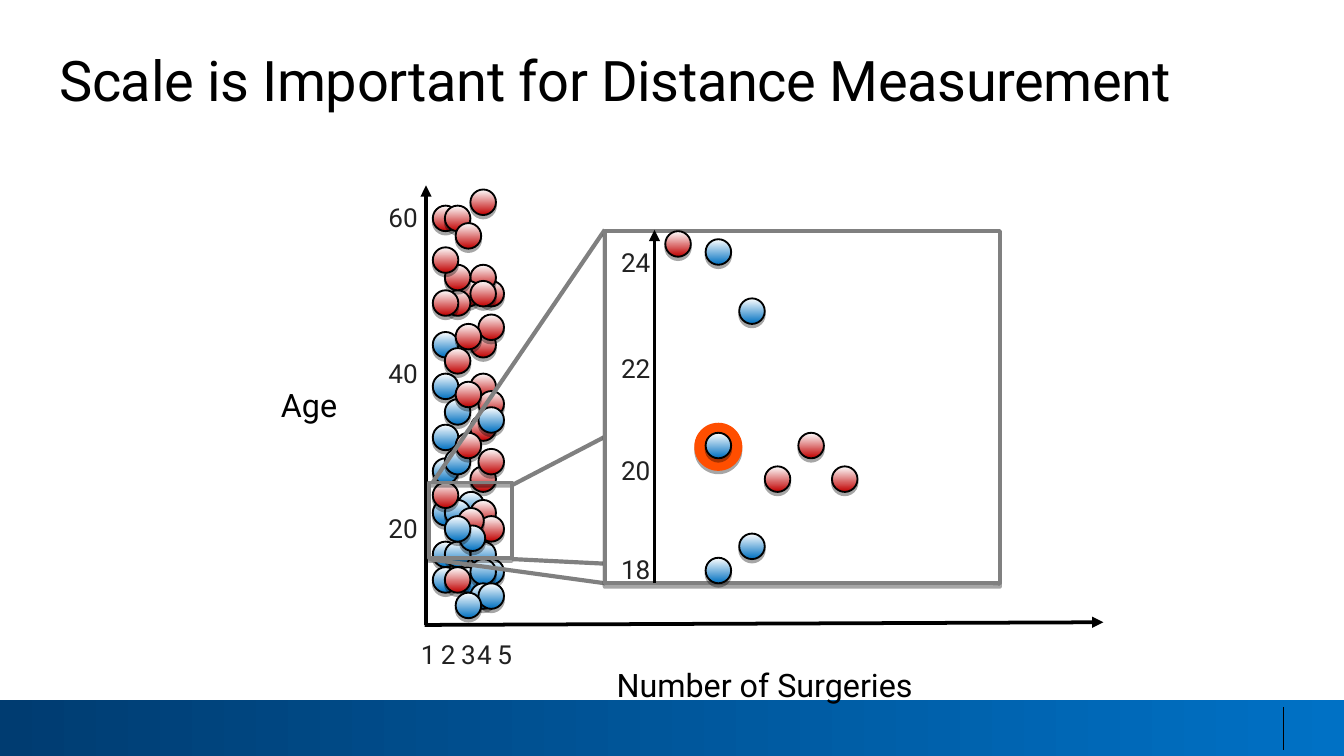
from typing import NamedTuple

from lxml.etree import SubElement
from pptx import Presentation
from pptx.dml.color import RGBColor
from pptx.enum.shapes import MSO_CONNECTOR, MSO_SHAPE
from pptx.enum.text import MSO_ANCHOR, MSO_AUTO_SIZE, PP_ALIGN
from pptx.oxml.ns import qn
from pptx.util import Inches, Pt

BLACK = RGBColor(0x00, 0x00, 0x00)
WHITE = RGBColor(0xFF, 0xFF, 0xFF)
DOT_TOP = RGBColor(0xFE, 0xFF, 0xFF)
RED = RGBColor(0xC0, 0x00, 0x00)
BLUE = RGBColor(0x00, 0x70, 0xC0)
ORANGE = RGBColor(0xFF, 0x4E, 0x00)
GRAY = RGBColor(0x80, 0x80, 0x80)
TICK_TEXT = RGBColor(0x21, 0x21, 0x21)
FOOTER_LIGHT = RGBColor(0x00, 0x71, 0xC5)
FOOTER_DARK = RGBColor(0x00, 0x3C, 0x71)

SLIDE_WIDTH = 10
SLIDE_HEIGHT = SLIDE_WIDTH * 9 / 16
FONT = "Roboto"
DOT_SIZE = 0.19
TICK_WIDTH = 0.25


class DotColumn(NamedTuple):
    color: RGBColor
    left: float
    tops: tuple[float, ...]


class Label(NamedTuple):
    text: str
    left: float
    top: float
    width: float
    height: float


class Segment(NamedTuple):
    start: tuple[float, float]
    end: tuple[float, float]


# Columns are listed from back to front, since the dots overlap.
PATIENTS = [
    DotColumn(RED, 3.56, (2.09,)),
    DotColumn(BLUE, 3.22, (2.47,)),
    DotColumn(RED, 3.22, (1.53,)),
    DotColumn(RED, 3.31, (1.53,)),
    DotColumn(RED, 3.39, (1.66,)),
    DotColumn(RED, 3.5, (1.97,)),
    DotColumn(BLUE, 3.31, (2.97,)),
    DotColumn(BLUE, 3.41, (3.66,)),
    DotColumn(BLUE, 3.5, (4.03,)),
    DotColumn(BLUE, 3.56, (4.16,)),
    DotColumn(BLUE, 3.22, (2.78, 3.16, 3.41, 3.72, 4.03, 4.22)),
    DotColumn(BLUE, 3.31, (4.03, 3.34, 3.72)),
    DotColumn(BLUE, 3.39, (4.22,)),
    DotColumn(BLUE, 3.5, (4.16, 4.34)),
    DotColumn(BLUE, 3.56, (4.34,)),
    DotColumn(RED, 3.5, (1.41, 2.47, 2.78, 3.09, 3.47, 3.72)),
    DotColumn(RED, 3.56, (2.34, 2.91, 3.34, 3.84)),
    DotColumn(RED, 3.39, (3.22, 2.84, 2.41, 2.09)),
    DotColumn(RED, 3.31, (2.59, 2.16, 1.97)),
    DotColumn(RED, 3.22, (2.16, 1.84, 3.59)),
    DotColumn(RED, 3.31, (4.22,)),
    DotColumn(RED, 3.41, (3.78,)),
    DotColumn(BLUE, 3.42, (3.91,)),
    DotColumn(BLUE, 3.39, (4.41,)),
    DotColumn(BLUE, 3.31, (3.84,)),
    DotColumn(RED, 3.5, (2.09,)),
    DotColumn(BLUE, 3.56, (3.03,)),
]
ZOOMED_PATIENTS = [
    DotColumn(BLUE, 5.25, (1.78, 4.15)),
    DotColumn(BLUE, 5.5, (3.97, 2.22)),
    DotColumn(RED, 5.94, (3.22,)),
    DotColumn(RED, 6.19, (3.47,)),
    DotColumn(RED, 5.69, (3.47,)),
    DotColumn(RED, 4.95, (1.72,)),
]
HIGHLIGHTED_PATIENT = DotColumn(BLUE, 5.25, (3.22,))

AXIS_TITLES = [
    Label("Number of Surgeries", 3.88, 4.84, 3.62, 0.4),
    Label("Age", 1.92, 2.76, 0.76, 0.4),
]
AGE_TICKS = [
    Label(str(age), 2.86, top, TICK_WIDTH, 0.79)
    for age, top in zip((60, 40, 20), (1.14, 2.3, 3.45))
]
SURGERY_TICKS = [
    Label(str(count), left, 4.59, TICK_WIDTH, 0.39)
    for count, left in enumerate((2.99, 3.14, 3.29, 3.41, 3.56), start=1)
]
ZOOMED_AGE_TICKS = [
    Label(str(age), 4.59, top, TICK_WIDTH, 0.79)
    for age, top in zip((24, 22, 20, 18), (1.47, 2.26, 3.02, 3.76))
]

AXES = [Segment((3.17, 4.65), (3.17, 1.38)), Segment((3.16, 4.65), (8.21, 4.63))]
ZOOMED_AXIS = Segment((4.87, 4.34), (4.87, 1.71))
ZOOM_GUIDES = [
    Segment((3.22, 3.59), (4.5, 1.71)),
    Segment((3.81, 3.61), (7.44, 1.72)),
    Segment((3.81, 4.16), (7.44, 4.34)),
    Segment((3.19, 4.16), (4.5, 4.34)),
]


def add_shadowed_shape(slide, kind: MSO_SHAPE, left: float, top: float, width: float, height: float):
    shape = slide.shapes.add_shape(kind, Inches(left), Inches(top), Inches(width), Inches(height))
    shape.shadow.inherit = False
    effects = shape._element.spPr.find(qn("a:effectLst"))
    shadow = SubElement(effects, qn("a:outerShdw"), blurRad="0", dist=str(Pt(1.8)),
                        dir="5400000", algn="ctr", rotWithShape="0")
    shadow_color = SubElement(shadow, qn("a:srgbClr"), val=str(BLACK))
    SubElement(shadow_color, qn("a:alpha"), val="35000")
    return shape


def set_gradient(shape, first: RGBColor, last: RGBColor, angle: float) -> None:
    """Fill from first to last; the angle runs counter-clockwise."""
    shape.fill.gradient()
    shape.fill.gradient_angle = angle
    for stop, color, position in zip(shape.fill.gradient_stops, (first, last), (0, 1)):
        stop.color.rgb = color
        stop.position = position


def set_outline(shape, color: RGBColor, width: float) -> None:
    shape.line.color.rgb = color
    shape.line.width = Pt(width)


def add_dots(slide, columns: list[DotColumn]) -> None:
    for column in columns:
        for top in column.tops:
            dot = add_shadowed_shape(slide, MSO_SHAPE.OVAL, column.left, top, DOT_SIZE, DOT_SIZE)
            set_gradient(dot, column.color, DOT_TOP, 90)
            set_outline(dot, BLACK, 1)


def add_segment(slide, segment: Segment, color: RGBColor, width: float, arrow: bool = False) -> None:
    connector = slide.shapes.add_connector(
        MSO_CONNECTOR.STRAIGHT, *map(Inches, segment.start + segment.end))
    set_outline(connector, color, width)
    if arrow:
        SubElement(connector.line._get_or_add_ln(), qn("a:tailEnd"), type="triangle")
    SubElement(connector._element.spPr, qn("a:effectLst"))


def set_text(frame, text: str, size: float, color: RGBColor, align: PP_ALIGN, anchor: MSO_ANCHOR):
    frame.word_wrap = True
    frame.auto_size = MSO_AUTO_SIZE.NONE
    frame.vertical_anchor = anchor
    frame.margin_left = frame.margin_right = frame.margin_top = frame.margin_bottom = 0
    frame.text = text
    paragraph = frame.paragraphs[0]
    paragraph.alignment = align
    font = paragraph.runs[0].font
    font.name, font.size, font.color.rgb = FONT, Pt(size), color
    return paragraph


def add_labels(slide, labels: list[Label], size: float, color: RGBColor,
               align: PP_ALIGN, anchor: MSO_ANCHOR) -> None:
    for label in labels:
        box = slide.shapes.add_textbox(*map(Inches, label[1:]))
        paragraph = set_text(box.text_frame, label.text, size, color, align, anchor)
        paragraph.line_spacing = Pt(28.5)


def add_ticks(slide, labels: list[Label]) -> None:
    add_labels(slide, labels, 14, TICK_TEXT, PP_ALIGN.RIGHT, MSO_ANCHOR.MIDDLE)


def main() -> None:
    presentation = Presentation()
    presentation.slide_width = Inches(SLIDE_WIDTH)
    presentation.slide_height = Inches(SLIDE_HEIGHT)
    slide = presentation.slides.add_slide(presentation.slide_layouts[5])

    title = slide.shapes.title
    title.left, title.top, title.width, title.height = map(Inches, (0.44, 0.34, 9.23, 1))
    heading = set_text(title.text_frame, "Scale is Important for Distance Measurement", 30, BLACK,
                       PP_ALIGN.LEFT, MSO_ANCHOR.TOP)
    heading.runs[0]._r.get_or_add_rPr().set("spc", "-20")

    footer = add_shadowed_shape(slide, MSO_SHAPE.RECTANGLE, 0, 5.21, SLIDE_WIDTH, 0.42)
    set_gradient(footer, FOOTER_LIGHT, FOOTER_DARK, 180)
    footer.line.fill.background()
    add_segment(slide, Segment((9.55, 5.26), (9.55, 5.58)), BLACK, 0.75)

    add_dots(slide, PATIENTS)
    add_labels(slide, AXIS_TITLES, 17.3, BLACK, PP_ALIGN.CENTER, MSO_ANCHOR.TOP)
    for axis in AXES:
        add_segment(slide, axis, BLACK, 2, arrow=True)
    add_ticks(slide, AGE_TICKS + SURGERY_TICKS)

    zoom_source = add_shadowed_shape(slide, MSO_SHAPE.RECTANGLE, 3.19, 3.59, 0.62, 0.56)
    zoom_source.fill.background()
    set_outline(zoom_source, GRAY, 2)
    for guide in ZOOM_GUIDES:
        add_segment(slide, guide, GRAY, 2.25)
    zoom_panel = add_shadowed_shape(slide, MSO_SHAPE.RECTANGLE, 4.5, 1.72, 2.94, 2.62)
    zoom_panel.fill.solid()
    zoom_panel.fill.fore_color.rgb = WHITE
    set_outline(zoom_panel, GRAY, 2.25)

    add_segment(slide, ZOOMED_AXIS, BLACK, 2, arrow=True)
    add_ticks(slide, ZOOMED_AGE_TICKS)
    add_dots(slide, ZOOMED_PATIENTS)
    highlight = add_shadowed_shape(slide, MSO_SHAPE.OVAL, 5.18, 3.16, 0.33, 0.33)
    highlight.fill.solid()
    highlight.fill.fore_color.rgb = ORANGE
    set_outline(highlight, ORANGE, 2)
    add_dots(slide, [HIGHLIGHTED_PATIENT])

    presentation.save("out.pptx")


if __name__ == "__main__":
    main()
